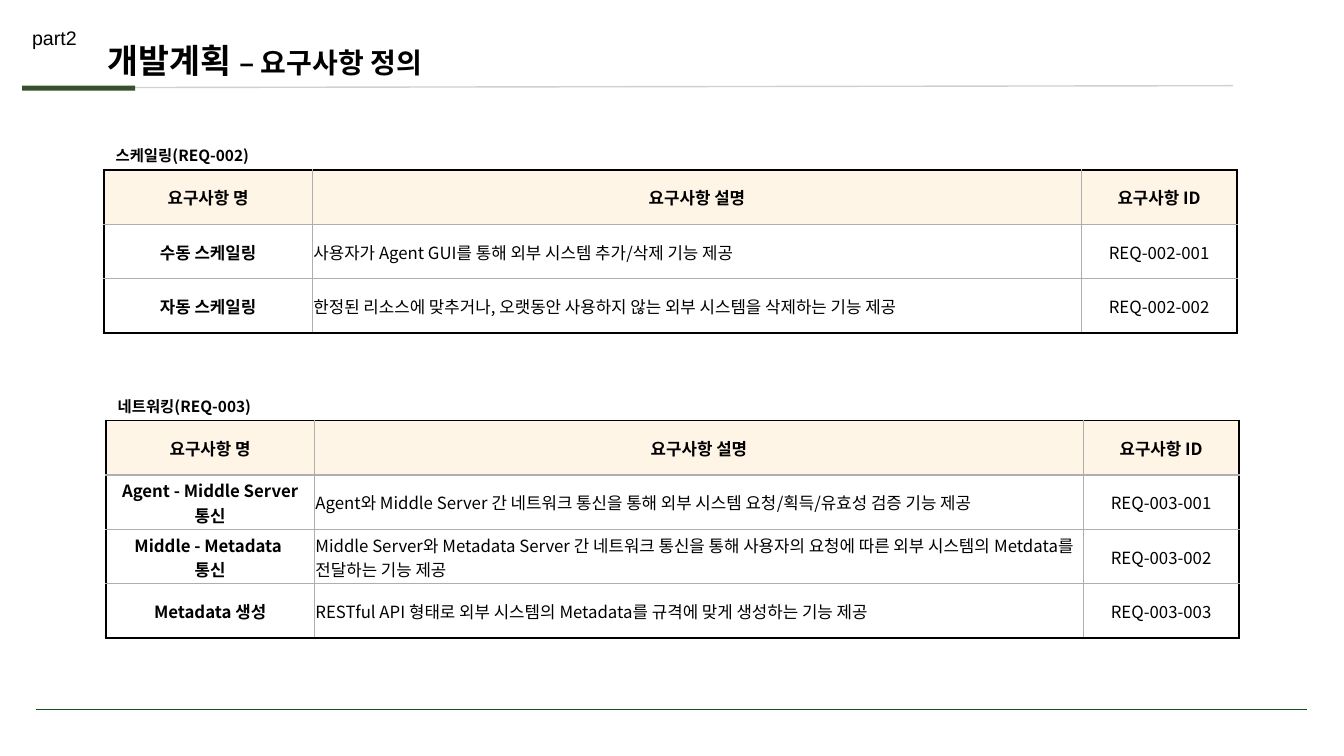
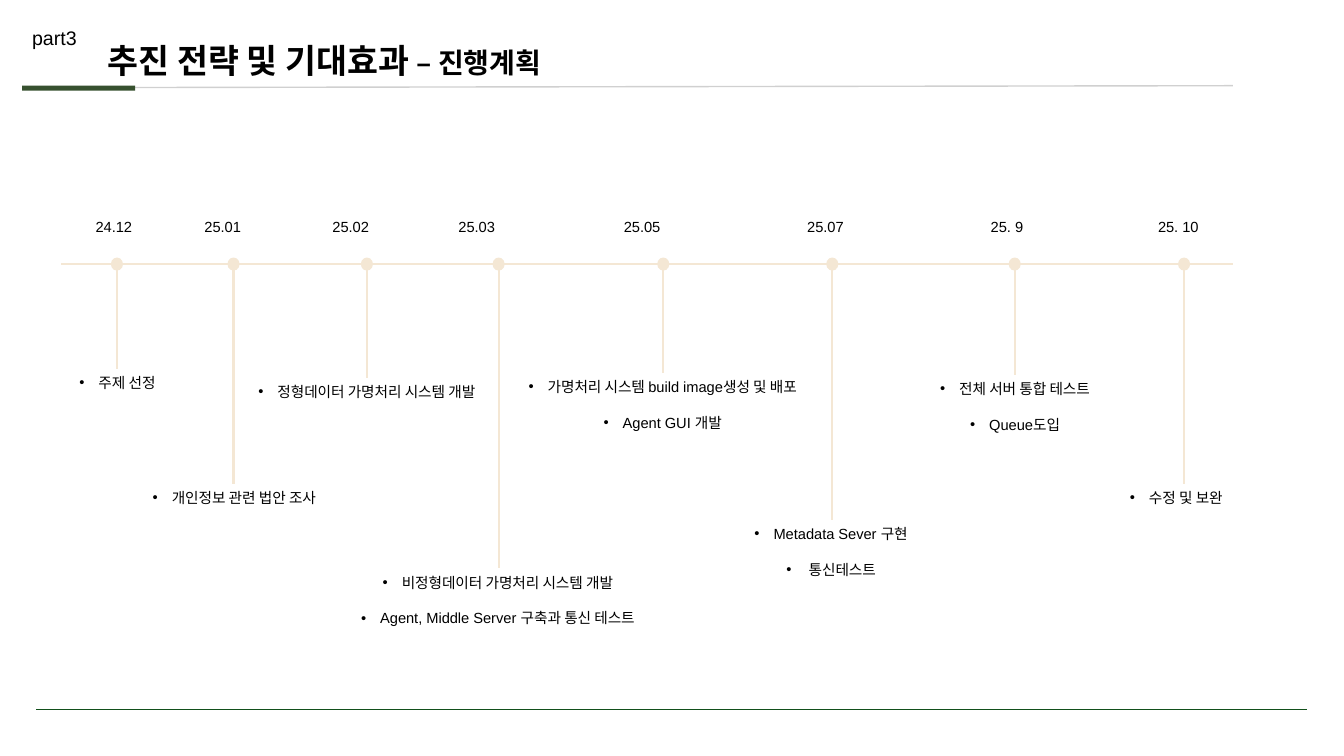
"""Build a requirements slide and a schedule slide that share one layout."""
from lxml import etree
from pptx import Presentation
from pptx.dml.color import RGBColor
from pptx.enum.shapes import MSO_CONNECTOR, MSO_SHAPE
from pptx.enum.text import MSO_ANCHOR, MSO_AUTO_SIZE, PP_ALIGN
from pptx.oxml.ns import qn
from pptx.util import Inches, Pt

STRAIGHT = MSO_CONNECTOR.STRAIGHT
RECTANGLE, OVAL = MSO_SHAPE.RECTANGLE, MSO_SHAPE.OVAL
TOP, MIDDLE = MSO_ANCHOR.TOP, MSO_ANCHOR.MIDDLE
LEFT, CENTER = PP_ALIGN.LEFT, PP_ALIGN.CENTER

BLACK, GREEN, FOOTER_GREEN = "000000", "37512F", "12501B"
RULE_GRAY, BORDER_GRAY = "D0D0D0", "AEAEAE"
HEADER_CREAM, TIMELINE_BEIGE = "FEF5E7", "F4E7D4"
LATIN_FONT, KOREAN_FONT = "Arial", "Noto Sans CJK KR"

presentation = Presentation()
presentation.slide_width = 12192000
presentation.slide_height = Inches(7.5)
COLUMN = presentation.slide_width // 40
ROW = presentation.slide_height // 30


def color(hex_string):
    """Turn a hex string into a colour."""
    return RGBColor.from_string(hex_string)


def add_run(paragraph, text, size, bold=False, font=LATIN_FONT):
    """Add one formatted run to a paragraph."""
    run = paragraph.add_run()
    run.text = text
    run.font.size = Pt(size)
    run.font.bold = bold
    run.font.name = font
    run.font.color.rgb = color(BLACK)


layout = presentation.slide_layouts[5]
layout_title = layout.placeholders[0]
layout_title.left, layout_title.top = int(2.91 * COLUMN), int(1.4 * ROW)
layout_title.width, layout_title.height = int(20.25 * COLUMN), 2 * ROW
layout_title.text_frame.vertical_anchor = TOP
layout_title.text_frame.auto_size = MSO_AUTO_SIZE.NONE

headings = [
    ("part2", "개발계획 ", "– 요구사항 정의"),
    ("part3", "추진 전략 및 기대효과 ", "– 진행계획"),
]
labels = []
for part, topic, subtopic in headings:
    slide = presentation.slides.add_slide(layout)
    paragraph = slide.shapes.title.text_frame.paragraphs[0]
    paragraph.alignment = LEFT
    add_run(paragraph, topic, 24, True)
    add_run(paragraph, subtopic, 20, True)
    labels.append((slide, 0.66, 0.84, 2.58, 1.36, [part], 14, "plain"))
requirements_slide, schedule_slide = presentation.slides

HEADER = ("요구사항 명", "요구사항 설명", "요구사항 ID")
tables = [
    ("스케일링(REQ-002)", 3.09, 5.6, [
        HEADER,
        ("수동 스케일링", "사용자가 Agent GUI를 통해 외부 시스템 추가/삭제 기능 제공", "REQ-002-001"),
        ("자동 스케일링", "한정된 리소스에 맞추거나, 오랫동안 사용하지 않는 외부 시스템을 삭제하는 기능 제공", "REQ-002-002"),
    ]),
    ("네트워킹(REQ-003)", 3.15, 15.55, [
        HEADER,
        ("Agent - Middle Server\n통신",
         "Agent와 Middle Server 간 네트워크 통신을 통해 외부 시스템 요청/획득/유효성 검증 기능 제공",
         "REQ-003-001"),
        ("Middle - Metadata \n통신",
         "Middle Server와 Metadata Server 간 네트워크 통신을 통해 사용자의 요청에 따른 외부 시스템의 "
         "Metdata를 전달하는 기능 제공",
         "REQ-003-002"),
        ("Metadata 생성", "RESTful API 형태로 외부 시스템의 Metadata를 규격에 맞게 생성하는 기능 제공", "REQ-003-003"),
    ]),
]
COLUMN_WIDTHS = (6.21, 22.89, 4.62)
ROW_HEIGHT = 2.16

for caption, left, top, records in tables:
    labels.append((requirements_slide, left, top, 4.68, 1.16, [caption], 11, "caption"))
    frame = requirements_slide.shapes.add_table(
        len(records), len(COLUMN_WIDTHS), int(left * COLUMN), int((top + 1.14) * ROW),
        int(sum(COLUMN_WIDTHS) * COLUMN), int(len(records) * ROW_HEIGHT * ROW))
    table = frame.table
    for table_column, width in zip(table.columns, COLUMN_WIDTHS):
        table_column.width = int(width * COLUMN)
    last_row, last_column = len(records) - 1, len(COLUMN_WIDTHS) - 1
    for row_index, record in enumerate(records):
        table.rows[row_index].height = int(ROW_HEIGHT * ROW)
        for column_index, text in enumerate(record):
            cell = table.cell(row_index, column_index)
            is_header = row_index == 0
            cell.vertical_anchor = MIDDLE
            if is_header:
                cell.fill.solid()
                cell.fill.fore_color.rgb = color(HEADER_CREAM)
            else:
                cell.fill.background()
                cell.margin_left = cell.margin_right = cell.margin_top = Inches(0.01)
                cell.margin_bottom = 0
            for line_index, line_text in enumerate(text.split("\n")):
                if line_index:
                    paragraph = cell.text_frame.add_paragraph()
                else:
                    paragraph = cell.text_frame.paragraphs[0]
                paragraph.alignment = LEFT if column_index == 1 and not is_header else CENTER
                add_run(paragraph, line_text, 12, is_header or column_index == 0, KOREAN_FONT)
            edges = [
                ("a:lnL", column_index == 0), ("a:lnR", column_index == last_column),
                ("a:lnT", is_header), ("a:lnB", row_index == last_row),
            ]
            properties = cell._tc.get_or_add_tcPr()
            for position, (tag, is_outer) in enumerate(edges):
                border = etree.Element(qn(tag), w=str(Pt(1.5 if is_outer else 1)))
                border_fill = etree.SubElement(border, qn("a:solidFill"))
                etree.SubElement(border_fill, qn("a:srgbClr"), val=BLACK if is_outer else BORDER_GRAY)
                properties.insert(position, border)

AXIS = 10.48
DOT_WIDTH, DOT_HEIGHT = 0.36, 0.52
milestones = [
    ("24.12", 2.55, 3.48, 1.92, 3.15, 14.64, ["주제 선정"]),
    ("25.01", 5.79, 6.95, 3.69, 6.57, 19.2, ["개인정보 관련 법안 조사"]),
    ("25.02", 9.6, 10.92, 6.72, 8.4, 15, ["정형데이터 가명처리 시스템 개발"]),
    ("25.03", 13.35, 14.84, 9.96, 9.72, 22.56,
     ["비정형데이터 가명처리 시스템 개발", "Agent, Middle Server 구축과 통신 테스트"]),
    ("25.05", 18.27, 19.74, 14.88, 9.69, 14.8,
     ["가명처리 시스템 build image생성 및 배포", "Agent GUI 개발"]),
    ("25.07", 23.73, 24.77, 20.76, 7.95, 20.64, ["Metadata Sever 구현", " 통신테스트"]),
    ("25. 9", 29.19, 30.2, 27, 6.42, 14.88, ["전체 서버 통합 테스트", "Queue도입"]),
    ("25. 10", 34.17, 35.24, 33.06, 3.9, 19.2, ["수정 및 보완"]),
]
lines = [
    (requirements_slide, 1.35, 3.48, 36.69, 3.4, RULE_GRAY, 1),
    (requirements_slide, 1.08, 28.16, 38.91, 28.16, FOOTER_GREEN, 0.75),
    (schedule_slide, 1.83, AXIS, 36.69, AXIS, TIMELINE_BEIGE, 1.5),
]
blocks = [(requirements_slide, RECTANGLE, 0.66, 3.4, 3.36, 0.2, GREEN)]
for date, date_left, center, text_left, text_width, text_top, tasks in milestones:
    labels.append((schedule_slide, date_left, 8.44, 2.97, 1.12, [date], 10.5, "plain"))
    text_height = 1.12 + 1.4 * (len(tasks) - 1)
    labels.append((schedule_slide, text_left, text_top, text_width, text_height, tasks, 10.5, "bullets"))
    lines.append((schedule_slide, center, AXIS, center, text_top, TIMELINE_BEIGE, 1.5))
    blocks.append((schedule_slide, OVAL, center - DOT_WIDTH / 2, AXIS - DOT_HEIGHT / 2,
                   DOT_WIDTH, DOT_HEIGHT, TIMELINE_BEIGE))

shared_elements = []
for slide, start_x, start_y, end_x, end_y, line_color, weight in lines:
    connector = slide.shapes.add_connector(
        STRAIGHT, int(start_x * COLUMN), int(start_y * ROW), int(end_x * COLUMN), int(end_y * ROW))
    connector.line.color.rgb = color(line_color)
    connector.line.width = Pt(weight)
    etree.SubElement(connector._element.spPr, qn("a:effectLst"))
    if slide is requirements_slide:
        shared_elements.append(connector._element)

for slide, kind, left, top, width, height, fill_color in blocks:
    shape = slide.shapes.add_shape(
        kind, int(left * COLUMN), int(top * ROW), int(width * COLUMN), int(height * ROW))
    shape.shadow.inherit = False
    shape.fill.solid()
    shape.fill.fore_color.rgb = color(fill_color)
    shape.line.fill.background()
    if slide is requirements_slide:
        shared_elements.append(shape._element)

for element in shared_elements:
    layout.shapes.element.append(element)

for slide, left, top, width, height, texts, size, style in labels:
    text_box = slide.shapes.add_textbox(
        int(left * COLUMN), int(top * ROW), int(width * COLUMN), int(height * ROW))
    text_frame = text_box.text_frame
    text_frame.word_wrap = style != "caption"
    is_caption = style == "caption"
    for index, text in enumerate(texts):
        paragraph = text_frame.add_paragraph() if index else text_frame.paragraphs[0]
        paragraph.alignment = LEFT if style == "plain" else CENTER
        if index:
            paragraph.space_before = Pt(13)
        if style == "bullets":
            properties = paragraph._p.get_or_add_pPr()
            properties.set("marL", str(Inches(0.19)))
            properties.set("indent", str(-Inches(0.19)))
            etree.SubElement(properties, qn("a:buFont"), typeface=LATIN_FONT)
            etree.SubElement(properties, qn("a:buChar"), char="•")
        add_run(paragraph, text, size, is_caption, KOREAN_FONT if is_caption else LATIN_FONT)

presentation.save("out.pptx")
